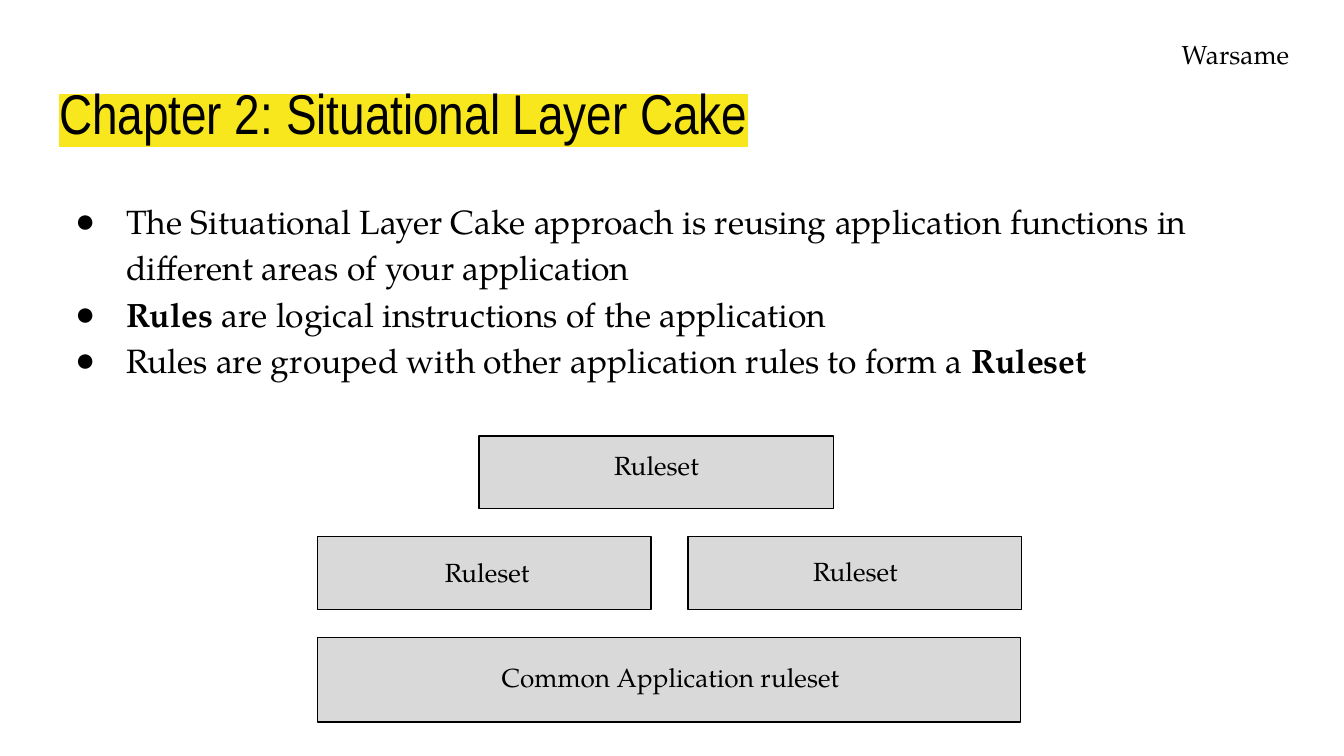
import dataclasses

import pptx
import pptx.dml.color
import pptx.enum.shapes
import pptx.enum.text
import pptx.oxml
import pptx.oxml.ns
import pptx.util

BLACK = pptx.dml.color.RGBColor(0x00, 0x00, 0x00)
GREY = pptx.dml.color.RGBColor(0xD9, 0xD9, 0xD9)
YELLOW = pptx.dml.color.RGBColor(0xF8, 0xE7, 0x1C)

SERIF, NARROW, BULLET_FONT = "TeX Gyre Pagella", "Arial Narrow", "Arial"
WIDTH = pptx.util.Inches(10)
HEIGHT = WIDTH * 9 // 16
CELL = WIDTH // 100  # square grid, 100 columns across
CENTER = pptx.enum.text.PP_ALIGN.CENTER
LEFT = pptx.enum.text.PP_ALIGN.LEFT


@dataclasses.dataclass(frozen=True)
class Area:
    """A rectangle in grid columns and rows."""
    col: float
    row: float
    cols: float
    rows: float

    def emu(self) -> list[int]:
        """Return left, top, width and height as lengths."""
        return [round(n * CELL) for n in (self.col, self.row, self.cols, self.rows)]


@dataclasses.dataclass(frozen=True)
class Layer:
    """One block of the cake with its label."""
    block: Area
    label: Area
    text: str


BASE_COL, HALF, GAP, BLOCK_ROWS = 23.64, 24.8, 2.75, 5.4
LAYERS = [
    Layer(Area(BASE_COL, 47.44, 52.3, 6.3), Area(24.5, 48.2, 50.8, 4.7),
          "Common Application ruleset"),
    Layer(Area(BASE_COL, 39.94, HALF, BLOCK_ROWS), Area(24.7, 40.4, 23.1, 4.7),
          "Ruleset"),
    Layer(Area(BASE_COL + HALF + GAP, 39.94, HALF, BLOCK_ROWS),
          Area(52.1, 40.33, 23.1, 4.7), "Ruleset"),
    Layer(Area(35.64, 32.45, 26.4, BLOCK_ROWS), Area(37.3, 32.45, 23.1, 4.7),
          "Ruleset"),
]

# Each bullet is a list of (text, bold) runs.
BULLETS = [
    [("The Situational Layer Cake approach is reusing application functions "
      "in different areas of your application", False)],
    [("Rules ", True), ("are logical instructions of the application", False)],
    [("Rules are grouped with other application rules to form a ", False),
     ("Ruleset ", True)],
]


def add_text_frame(slide, area: Area):
    """Add a wrapping text box with equal insets and return its frame."""
    tf = slide.shapes.add_textbox(*area.emu()).text_frame
    inset = pptx.util.Inches(0.1)
    frame_format = {
        "word_wrap": True,
        "vertical_anchor": pptx.enum.text.MSO_ANCHOR.TOP,
        "margin_left": inset, "margin_top": inset,
        "margin_right": inset, "margin_bottom": inset,
    }
    for name, value in frame_format.items():
        setattr(tf, name, value)
    return tf


def add_run(p, text: str, size: float, font: str = SERIF, bold: bool = False):
    """Add a black run to a paragraph."""
    r = p.add_run()
    r.text = text
    run_format = {"size": pptx.util.Pt(size), "name": font, "bold": bold}
    for name, value in run_format.items():
        setattr(r.font, name, value)
    r.font.color.rgb = BLACK
    return r


def add_line(slide, area: Area, text: str, size: float = 14,
             font: str = SERIF, align=LEFT):
    """Add a text box that holds one line and return its run."""
    p = add_text_frame(slide, area).paragraphs[0]
    p.alignment = align
    return add_run(p, text, size, font)


def highlight(r, color: pptx.dml.color.RGBColor) -> None:
    """Mark a run with a background colour."""
    mark = pptx.oxml.parse_xml(
        f'<a:highlight {pptx.oxml.ns.nsdecls("a")}>'
        f'<a:srgbClr val="{color}"/></a:highlight>')
    r.font._element.find(pptx.oxml.ns.qn("a:latin")).addprevious(mark)


def set_bullet(p) -> None:
    """Give a paragraph a round black bullet and a hanging indent."""
    p.line_spacing = 1.15
    pPr = p._p.get_or_add_pPr()
    pPr.set("marL", str(pptx.util.Inches(0.5)))
    pPr.set("indent", str(pptx.util.Inches(-0.38)))
    ns = pptx.oxml.ns.nsdecls("a")
    for xml in (f'<a:buClr {ns}><a:srgbClr val="{BLACK}"/></a:buClr>',
                f'<a:buFont {ns} typeface="{BULLET_FONT}"/>',
                f'<a:buChar {ns} char="●"/>'):
        pPr.append(pptx.oxml.parse_xml(xml))


def add_bullets(slide, area: Area) -> None:
    """Add the bullet list."""
    tf = add_text_frame(slide, area)
    for i, runs in enumerate(BULLETS):
        p = tf.add_paragraph() if i else tf.paragraphs[0]
        set_bullet(p)
        for text, bold in runs:
            add_run(p, text, 18, bold=bold)


def add_block(slide, area: Area) -> None:
    """Add one grey block of the cake."""
    sp = slide.shapes.add_shape(
        pptx.enum.shapes.MSO_SHAPE.RECTANGLE, *area.emu())
    sp.shadow.inherit = False
    sp.fill.solid()
    sp.fill.fore_color.rgb = GREY
    sp.line.color.rgb = BLACK
    sp.line.width = pptx.util.Pt(0.75)


def main() -> None:
    """Build and save the slide."""
    prs = pptx.Presentation()
    prs.slide_width, prs.slide_height = WIDTH, HEIGHT
    slide = prs.slides.add_slide(prs.slide_layouts[6])

    title = add_line(slide, Area(3.41, 4.87, 93.2, 6.3),
                     "Chapter 2: Situational Layer Cake", 30, NARROW)
    highlight(title, YELLOW)
    add_bullets(slide, Area(3.41, 13.5, 93.2, 36.5))
    for layer in LAYERS:
        add_block(slide, layer.block)
    for layer in LAYERS:
        add_line(slide, layer.label, layer.text, align=CENTER)
    add_line(slide, Area(86.94, 1.84, 10.5, 4.6), "Warsame")

    prs.save("out.pptx")


main()
